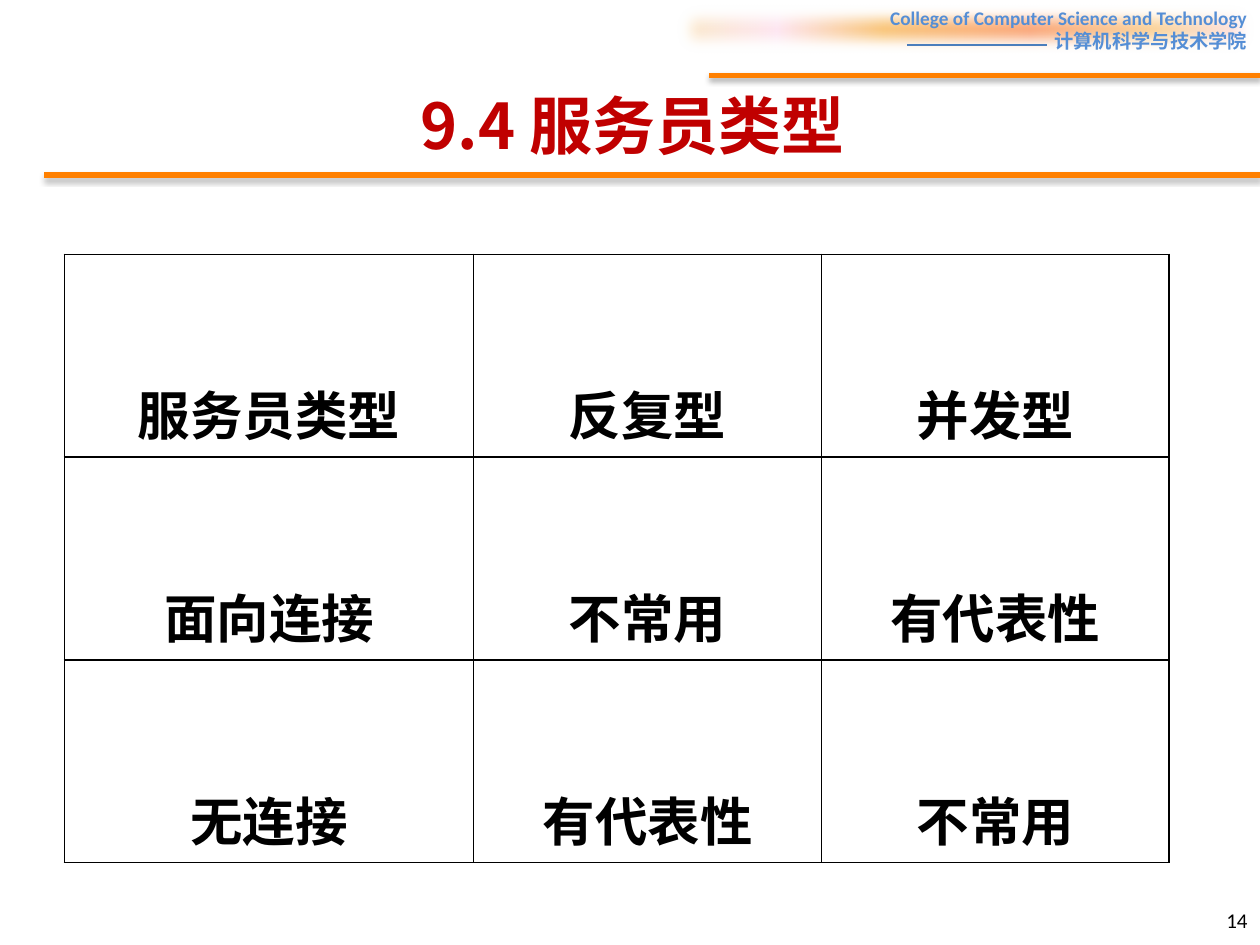
from dataclasses import dataclass

from lxml.etree import SubElement
from pptx import Presentation
from pptx.dml.color import RGBColor as RGB
from pptx.enum.shapes import MSO_CONNECTOR as CONN, MSO_SHAPE as SHAPE
from pptx.enum.text import MSO_ANCHOR as ANCHOR, PP_ALIGN as ALIGN
from pptx.oxml import parse_xml
from pptx.oxml.ns import nsdecls, qn
from pptx.util import Cm, Pt


@dataclass(frozen=True)
class Theme:
    title: str = "C00000"
    text: str = "000000"
    header: str = "558ED5"
    thin_rule: str = "4B7EBC"
    rule: str = "FF8000"
    glow: tuple = ((0, "FBEAC7"), (18, "FEE7F2"), (36, "FAC77D"),
                   (61, "FBA97D"), (82, "FBD49C"), (100, "FEE7F2"))
    latin: str = "Calibri"
    serif: str = "Times New Roman"
    cjk: str = "Noto Sans CJK SC"
    title_size: int = 36
    cell_size: int = 30
    header_size: int = 11
    number_size: int = 12


T = Theme()
ROWS = [
    ["服务员类型", "反复型", "并发型"],
    ["面向连接", "不常用", "有代表性"],
    ["无连接", "有代表性", "不常用"],
]


def write(tf, *lines, size, color, font=T.latin, bold=False,
          align=ALIGN.CENTER, anchor=ANCHOR.MIDDLE, spacing=None):
    """Fill a text frame with one paragraph per line."""
    tf.word_wrap = True
    tf.vertical_anchor = anchor
    for i, text in enumerate(lines):
        p = tf.paragraphs[0] if i == 0 else tf.add_paragraph()
        p.alignment = align
        p.line_spacing = spacing
        r = p.add_run()
        r.text = text
        r.font.name, r.font.size, r.font.bold = font, Pt(size), bold
        r.font.color.rgb = RGB.from_string(color)
        SubElement(r.font._element, qn("a:ea"), typeface=T.cjk)


def add_title(s, text):
    sp = s.shapes.title
    sp.left, sp.top, sp.width, sp.height = Cm(0.89), Cm(0.91), Cm(23.72), Cm(3.18)
    write(sp.text_frame, text, size=T.title_size, color=T.title,
          font=T.cjk, bold=True)


def add_header(s, *lines):
    """Soft-edged gradient band with the college name."""
    sp = s.shapes.add_shape(SHAPE.RECTANGLE, Cm(13.54), 0, Cm(11.86), Cm(1.19))
    sp.line.fill.background()
    stops = "".join(f'<a:gs pos="{pos * 1000}"><a:srgbClr val="{color}"/></a:gs>'
                    for pos, color in T.glow)
    geom = sp._element.spPr.find(qn("a:prstGeom"))
    geom.addnext(parse_xml(f'<a:gradFill {nsdecls("a")}><a:gsLst>{stops}</a:gsLst>'
                           '<a:lin ang="0" scaled="0"/></a:gradFill>'))
    effects = SubElement(sp._element.spPr, qn("a:effectLst"))
    SubElement(effects, qn("a:softEdge"), rad=str(Cm(0.32)))
    write(sp.text_frame, *lines, size=T.header_size, color=T.header,
          bold=True, align=ALIGN.RIGHT, anchor=ANCHOR.TOP)


def add_rule(s, x1, x2, y, color, width, shadow=False):
    """Horizontal line, with a soft drop shadow if wanted."""
    line = s.shapes.add_connector(CONN.STRAIGHT, Cm(x1), Cm(y), Cm(x2), Cm(y))
    line.line.color.rgb = RGB.from_string(color)
    line.line.width = Pt(width)
    effects = SubElement(line._element.spPr, qn("a:effectLst"))
    if shadow:
        outer = SubElement(effects, qn("a:outerShdw"), blurRad=str(Pt(3.1)),
                           dist=str(Pt(1.8)), dir="5400000", rotWithShape="0")
        clr = SubElement(outer, qn("a:srgbClr"), val=T.text)
        SubElement(clr, qn("a:alpha"), val="35000")


def border(cell):
    tc_pr = cell._tc.get_or_add_tcPr()
    for i, side in enumerate("LRTB"):
        tc_pr.insert(i, parse_xml(
            f'<a:ln{side} {nsdecls("a")} w="{Pt(1)}"><a:solidFill>'
            f'<a:srgbClr val="{T.text}"/></a:solidFill></a:ln{side}>'))


def add_grid(s, rows):
    widths = [8.25, 7.01, 7.01]
    table = s.shapes.add_table(len(rows), len(widths), Cm(1.3), Cm(5.13),
                               Cm(sum(widths)), Cm(10.64)).table
    table.first_row = table.horz_banding = False
    for col, width in zip(table.columns, widths):
        col.width = Cm(width)
    for i, row in enumerate(rows):
        for j, text in enumerate(row):
            cell = table.cell(i, j)
            cell.fill.background()
            border(cell)
            write(cell.text_frame, text, size=T.cell_size, color=T.text,
                  font=T.serif, bold=True, spacing=2.5, anchor=ANCHOR.TOP)


def add_number(s, text):
    sp = s.shapes.add_textbox(Cm(19.48), Cm(18.03), Cm(5.92), Cm(1.02))
    write(sp.text_frame, text, size=T.number_size, color=T.text, align=ALIGN.RIGHT)


def main():
    prs = Presentation()
    prs.slide_width, prs.slide_height = Cm(25.4), Cm(19.05)
    s = prs.slides.add_slide(prs.slide_layouts[5])

    # Title and table
    add_title(s, "9.4 服务员类型")
    add_grid(s, ROWS)

    # Header band and rules
    add_header(s, "College of Computer Science and Technology", "计算机科学与技术学院")
    add_rule(s, 18.29, 21.11, 0.91, T.thin_rule, 0.75)
    for left, y in ((0.89, 3.53), (14.3, 1.52)):
        add_rule(s, left, 25.4, y, T.rule, 3, shadow=True)

    # Page number
    add_number(s, "14")
    prs.save("out.pptx")


if __name__ == "__main__":
    main()
